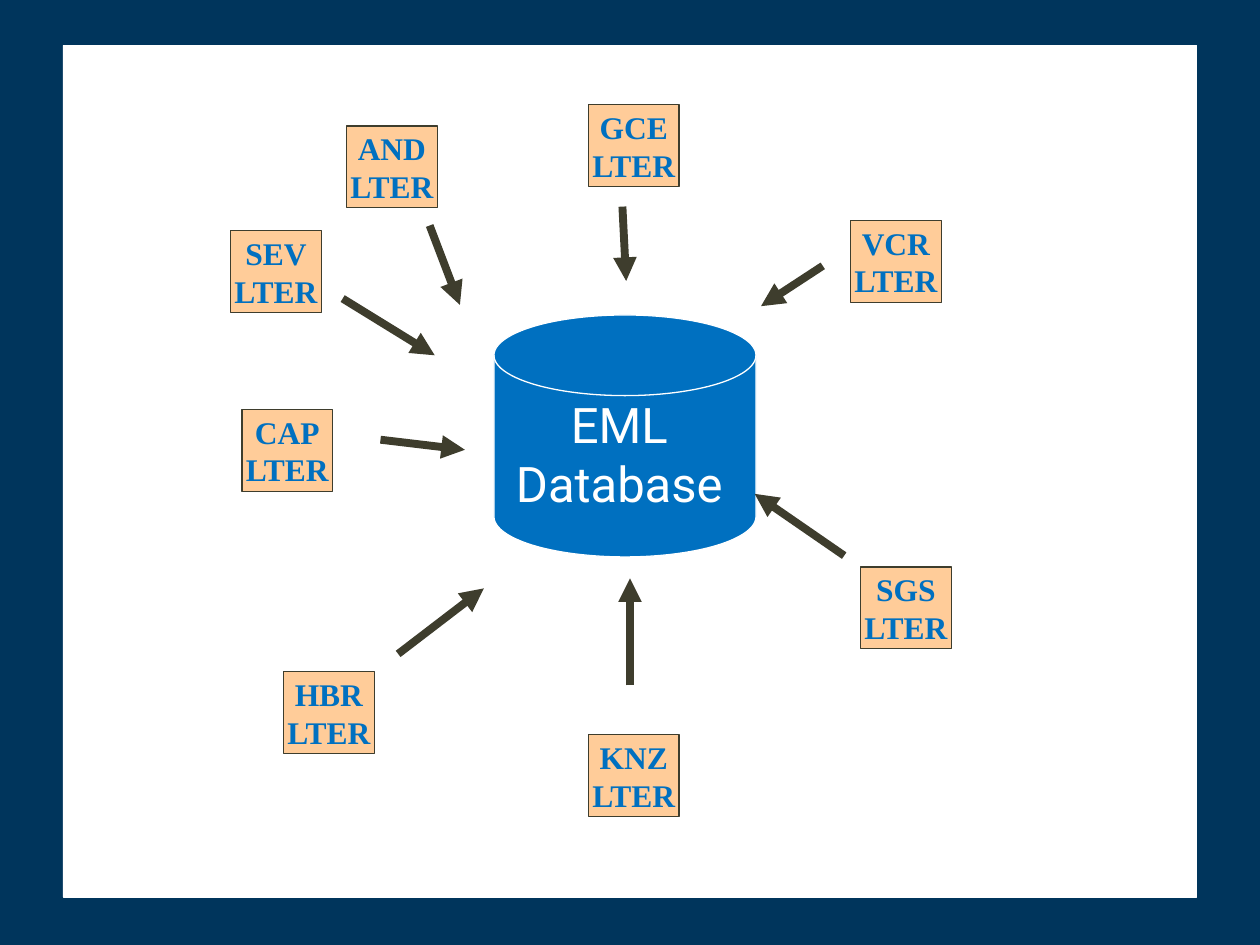
from pptx import Presentation
from pptx.dml.color import RGBColor
from pptx.enum.shapes import MSO_CONNECTOR as Connector, MSO_SHAPE as Shape
from pptx.enum.text import MSO_ANCHOR as Anchor, MSO_AUTO_SIZE as AutoSize, PP_ALIGN as Align
from pptx.oxml.ns import qn
from pptx.util import Inches, Pt
from lxml.etree import SubElement

COLORS = {
    "navy": "00355C",
    "white": "FFFFFF",
    "blue": "0070C0",
    "peach": "FFCC99",
    "olive": "3E3D2D",
}
CELLS_PER_INCH = 12
SITE_SIZE = (8.6, 7.8)
SITES = {
    "AND": ((33, 12), (40.9, 21.5), (43.8, 29)),
    "SEV": ((22, 22), (32.6, 28.4), (41.4, 33.8)),
    "CAP": ((23, 39), (36.2, 41.9), (44.3, 42.8)),
    "GCE": ((56, 10), (59.3, 19.7), (59.6, 26.8)),
    "KNZ": ((56, 70), (60, 65.3), (60, 55.1)),
    "SGS": ((82, 54), (80.4, 52.9), (71.9, 47)),
    "VCR": ((81, 21), (78.4, 25.3), (72.5, 29.2)),
    "HBR": ((27, 64), (37.9, 62.3), (46.1, 56)),
}


class Diagram:
    """Draws styled elements on a slide, measured in grid cells."""

    def __init__(self, slide):
        self.slide = slide
        self.shapes = slide.shapes
        background = slide.background.fill
        background.solid()
        background.fore_color.rgb = self.color("navy")

    def color(self, name):
        return RGBColor.from_string(COLORS[name])

    def cells(self, *values):
        return [Inches(round(value / CELLS_PER_INCH, 2)) for value in values]

    def set_text(self, frame, lines, font_name, size, color, bold=False):
        for index, line in enumerate(lines):
            paragraph = frame.add_paragraph() if index else frame.paragraphs[0]
            paragraph.text = line
            paragraph.alignment = Align.CENTER
            font = paragraph.font
            font.name, font.size, font.bold = font_name, Pt(size), bold
            font.color.rgb = self.color(color)

    def block(self, kind, position, size, fill, line, width=0.75):
        shape = self.shapes.add_shape(kind, *self.cells(*position, *size))
        shape.shadow.inherit = False
        shape.fill.solid()
        shape.fill.fore_color.rgb = self.color(fill)
        shape.line.color.rgb = self.color(line)
        shape.line.width = Pt(width)
        return shape

    def site(self, name, position):
        shape = self.block(Shape.RECTANGLE, position, SITE_SIZE, "peach", "olive")
        frame = shape.text_frame
        frame.word_wrap = False
        frame.vertical_anchor = Anchor.MIDDLE
        self.set_text(frame, [name, "LTER"], "Times New Roman", 18, "blue", bold=True)

    def arrow(self, start, end):
        connector = self.shapes.add_connector(Connector.STRAIGHT, *self.cells(*start, *end))
        connector.line.color.rgb = self.color("olive")
        connector.line.width = Pt(4.5)
        properties = connector._element.spPr
        SubElement(properties.find(qn("a:ln")), qn("a:tailEnd"), type="triangle")
        SubElement(properties, qn("a:effectLst"))

    def label(self, text, position, size):
        frame = self.shapes.add_textbox(*self.cells(*position, *size)).text_frame
        frame.word_wrap = True
        frame.auto_size = AutoSize.SHAPE_TO_FIT_TEXT
        self.set_text(frame, [text], "Roboto", 28, "white")


def main():
    presentation = Presentation()
    presentation.slide_width, presentation.slide_height = Inches(10), Inches(7.5)
    diagram = Diagram(presentation.slides.add_slide(presentation.slide_layouts[6]))
    diagram.block(Shape.RECTANGLE, (6, 4.3), (108, 81.1), "white", "white", 0.5)
    diagram.block(Shape.FLOWCHART_MAGNETIC_DISK, (47, 30), (25, 23), "blue", "white")
    for name, (position, start, end) in SITES.items():
        diagram.site(name, position)
        diagram.arrow(start, end)
    diagram.label("EML Database", (45, 37), (28, 12.4))
    presentation.save("out.pptx")


if __name__ == "__main__":
    main()
